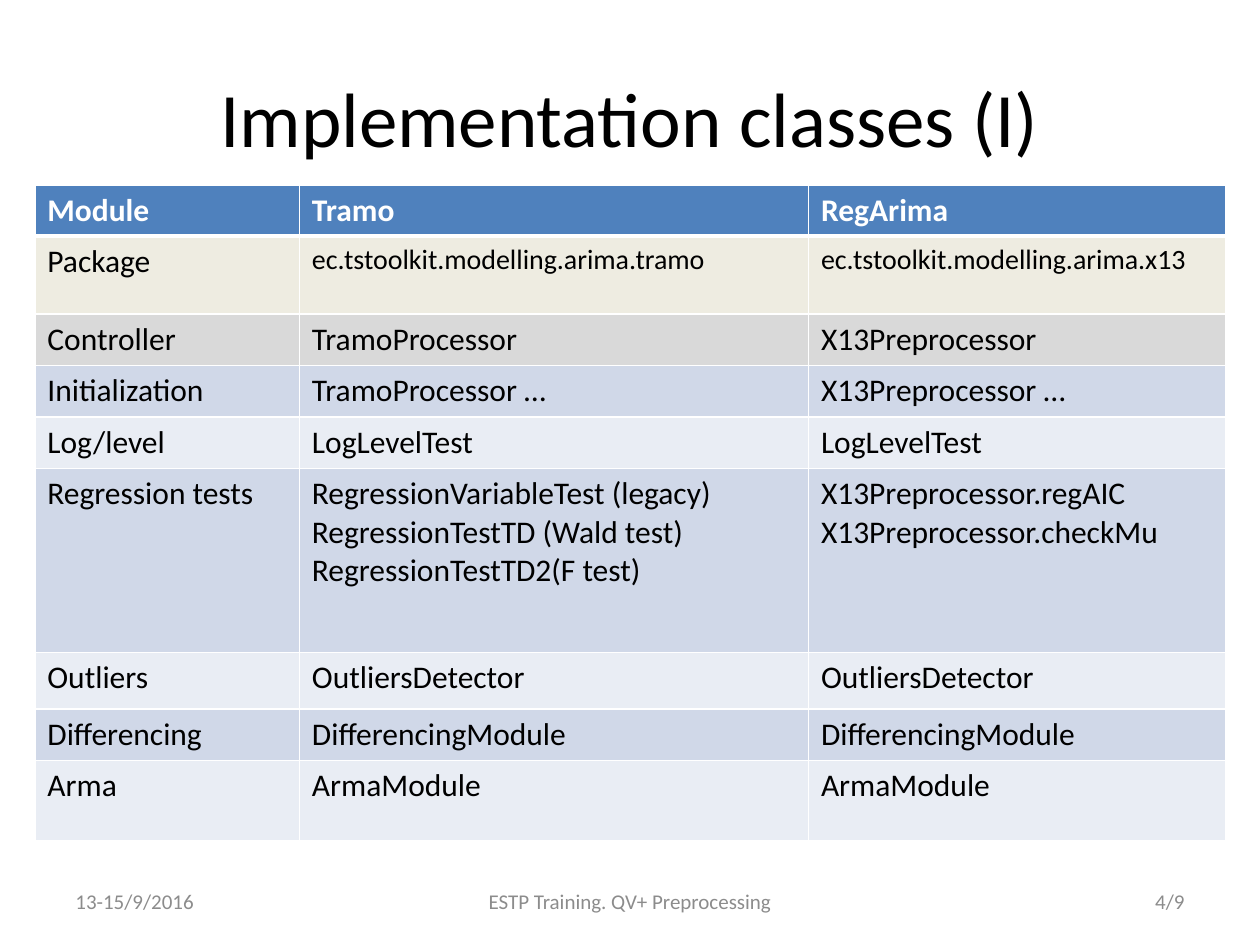
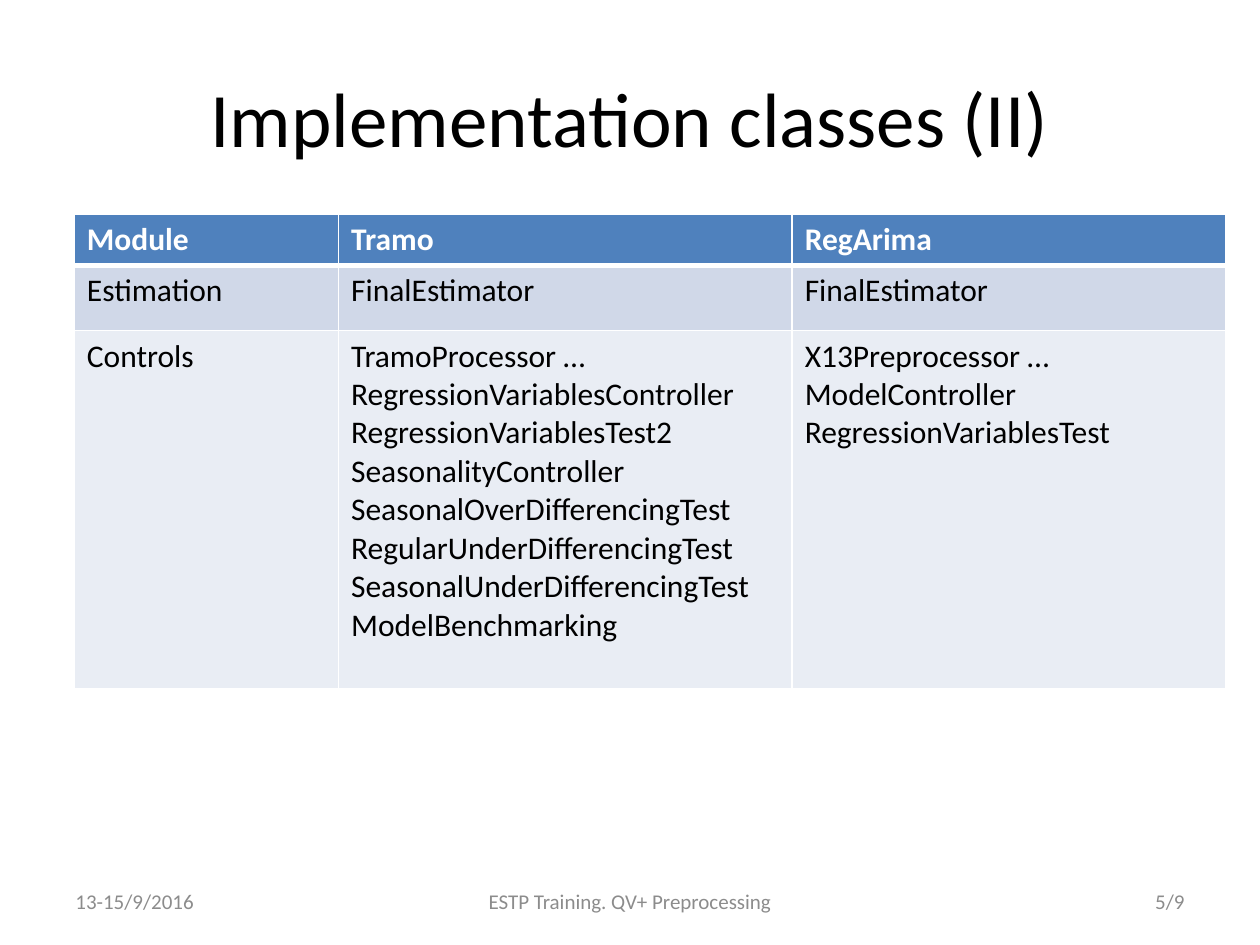
from lxml import etree
from pptx import Presentation
from pptx.dml.color import RGBColor as RGB
from pptx.enum.text import MSO_ANCHOR as ANCHOR, PP_ALIGN as ALIGN
from pptx.oxml.ns import qn
from pptx.util import Pt

COLORS = {
    "title": "000000", "body": "000000", "header_text": "FFFFFF",
    "footer": "8C8C8C", "header": "4F81BD", "border": "FFFFFF",
    "package": "EEECE1", "controller": "D9D9D9",
    "dark": "D0D8E8", "light": "E9EDF4",
}
FONT = "Calibri"
PAGES = 9
DATE = "13-15/9/2016"
COURSE = "ESTP Training. QV+ Preprocessing"
HEADINGS = ("header", 18, ["Module", "Tramo", "RegArima"])

# Each row: height, fill, size of the class names, cell texts
SLIDES = [
    {"title": "Implementation classes (I)", "page": 4,
     "at": (19.9, 105.6), "cols": (151.2, 290.9, 238.3), "header_height": 29.3,
     "rows": [
         (44.6, "package", 16, ["Package", "ec.tstoolkit.modelling.arima.tramo",
                                "ec.tstoolkit.modelling.arima.x13"]),
         (29.4, "controller", 18, ["Controller", "TramoProcessor", "X13Preprocessor"]),
         (29.4, "dark", 18, ["Initialization", "TramoProcessor …", "X13Preprocessor …"]),
         (29.4, "light", 18, ["Log/level", "LogLevelTest", "LogLevelTest"]),
         (105.1, "dark", 18, [
             "Regression tests",
             "RegressionVariableTest (legacy)\nRegressionTestTD (Wald test)\n"
             "RegressionTestTD2(F test)",
             "X13Preprocessor.regAIC\nX13Preprocessor.checkMu"]),
         (32.4, "light", 18, ["Outliers", "OutliersDetector", "OutliersDetector"]),
         (29.4, "dark", 18, ["Differencing", "DifferencingModule", "DifferencingModule"]),
         (46, "light", 18, ["Arma", "ArmaModule", "ArmaModule"]),
     ]},
    {"title": "Implementation classes (II)", "page": 5,
     "at": (42.5, 122.6), "cols": (151, 259.2, 247.7), "header_height": 29.2,
     "rows": [
         (37.2, "dark", 18, ["Estimation", "FinalEstimator", "FinalEstimator"]),
         (204.6, "light", 18, [
             "Controls",
             "TramoProcessor …\nRegressionVariablesController\n"
             "RegressionVariablesTest2\nSeasonalityController\n"
             "SeasonalOverDifferencingTest\nRegularUnderDifferencingTest\n"
             "SeasonalUnderDifferencingTest\nModelBenchmarking",
             "X13Preprocessor …\nModelController\nRegressionVariablesTest"]),
     ]},
]


def write(tf, text, size, color, align=ALIGN.LEFT, bold=False):
    """Fill a text frame with one formatted paragraph per line of text."""
    tf.text = text
    for p in tf.paragraphs:
        p.alignment = align
        for r in p.runs:
            for name, value in {"name": FONT, "size": Pt(size), "bold": bold}.items():
                setattr(r.font, name, value)
            r.font.color.rgb = RGB.from_string(COLORS[color])


def set_borders(cell, top, bottom):
    """Draw the cell borders, with top and bottom widths in points."""
    tcPr = cell._tc.get_or_add_tcPr()
    widths = {"a:lnL": 1, "a:lnR": 1, "a:lnT": top, "a:lnB": bottom}
    for i, (tag, width) in enumerate(widths.items()):
        ln = etree.Element(qn(tag), w=str(Pt(width)))
        fill = etree.SubElement(ln, qn("a:solidFill"))
        etree.SubElement(fill, qn("a:srgbClr"), val=COLORS["border"])
        tcPr.insert(i, ln)


prs = Presentation()
prs.slide_width, prs.slide_height = Pt(720), Pt(540)

for content in SLIDES:
    s = prs.slides.add_slide(prs.slide_layouts[5])

    title = s.shapes.title
    title.left, title.top, title.width, title.height = Pt(36), Pt(21.6), Pt(648), Pt(90)
    title.text_frame.vertical_anchor = ANCHOR.MIDDLE
    write(title.text_frame, content["title"], 44, "title", ALIGN.CENTER)

    rows = [(content["header_height"], *HEADINGS)] + content["rows"]
    left, top = content["at"]
    table = s.shapes.add_table(
        len(rows), len(content["cols"]), Pt(left), Pt(top),
        Pt(sum(content["cols"])), Pt(sum(row[0] for row in rows))).table
    table.horz_banding = False
    for column, width in zip(table.columns, content["cols"]):
        column.width = Pt(width)
    for i, (height, fill, size, texts) in enumerate(rows):
        table.rows[i].height = Pt(height)
        for j, text in enumerate(texts):
            cell = table.cell(i, j)
            cell.fill.solid()
            cell.fill.fore_color.rgb = RGB.from_string(COLORS[fill])
            set_borders(cell, 3 if i == 1 else 1, 3 if i == 0 else 1)
            write(cell.text_frame, text, size if j else 18,
                  "body" if i else "header_text", bold=i == 0)

    footers = [
        (36, 168, DATE, ALIGN.LEFT),
        (246, 228, COURSE, ALIGN.CENTER),
        (516, 168, f"{content['page']}/{PAGES}", ALIGN.RIGHT),
    ]
    for left, width, text, align in footers:
        tf = s.shapes.add_textbox(Pt(left), Pt(500.5), Pt(width), Pt(28.75)).text_frame
        tf.word_wrap = True
        tf.vertical_anchor = ANCHOR.MIDDLE
        write(tf, text, 12, "footer", align)

prs.save("out.pptx")
